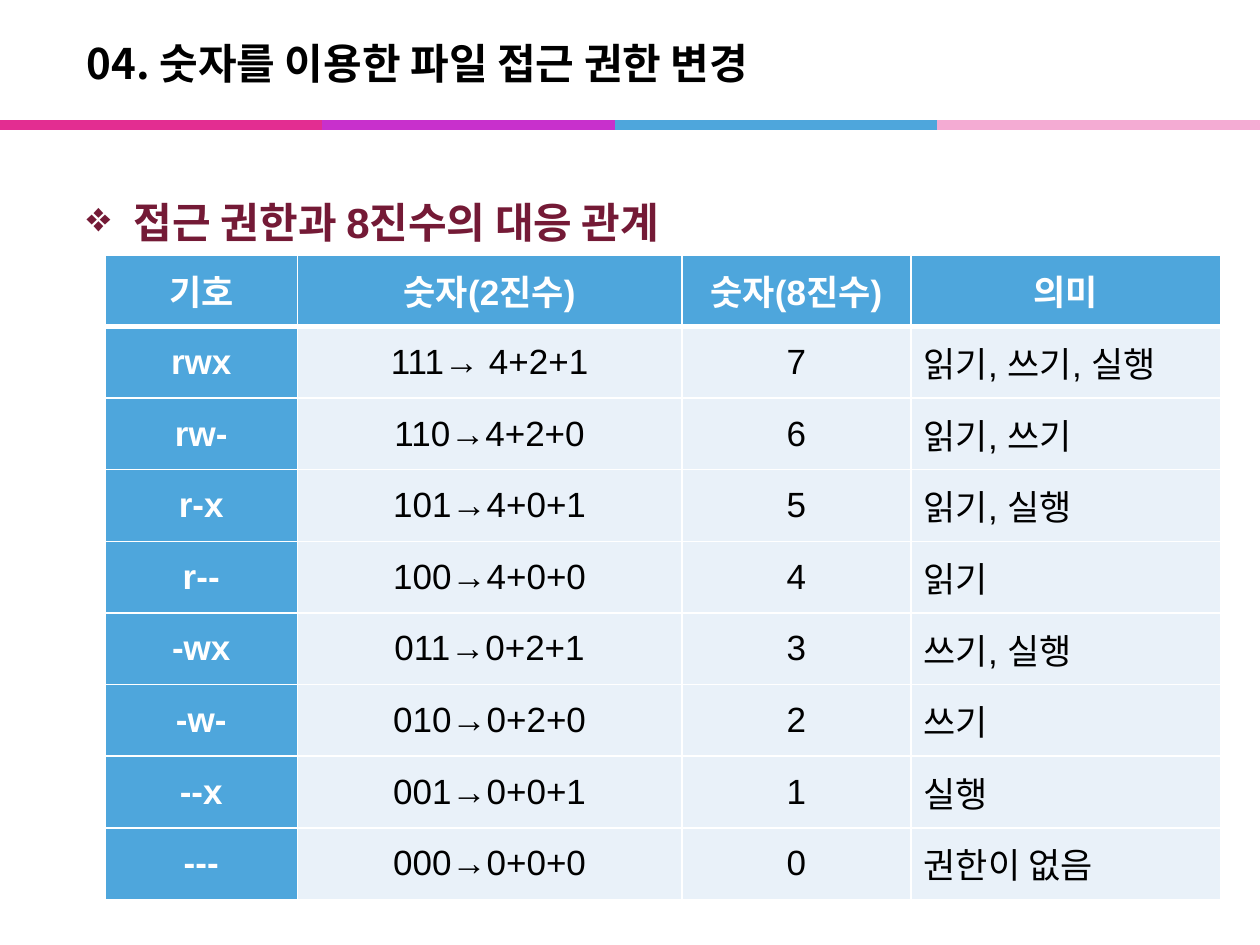
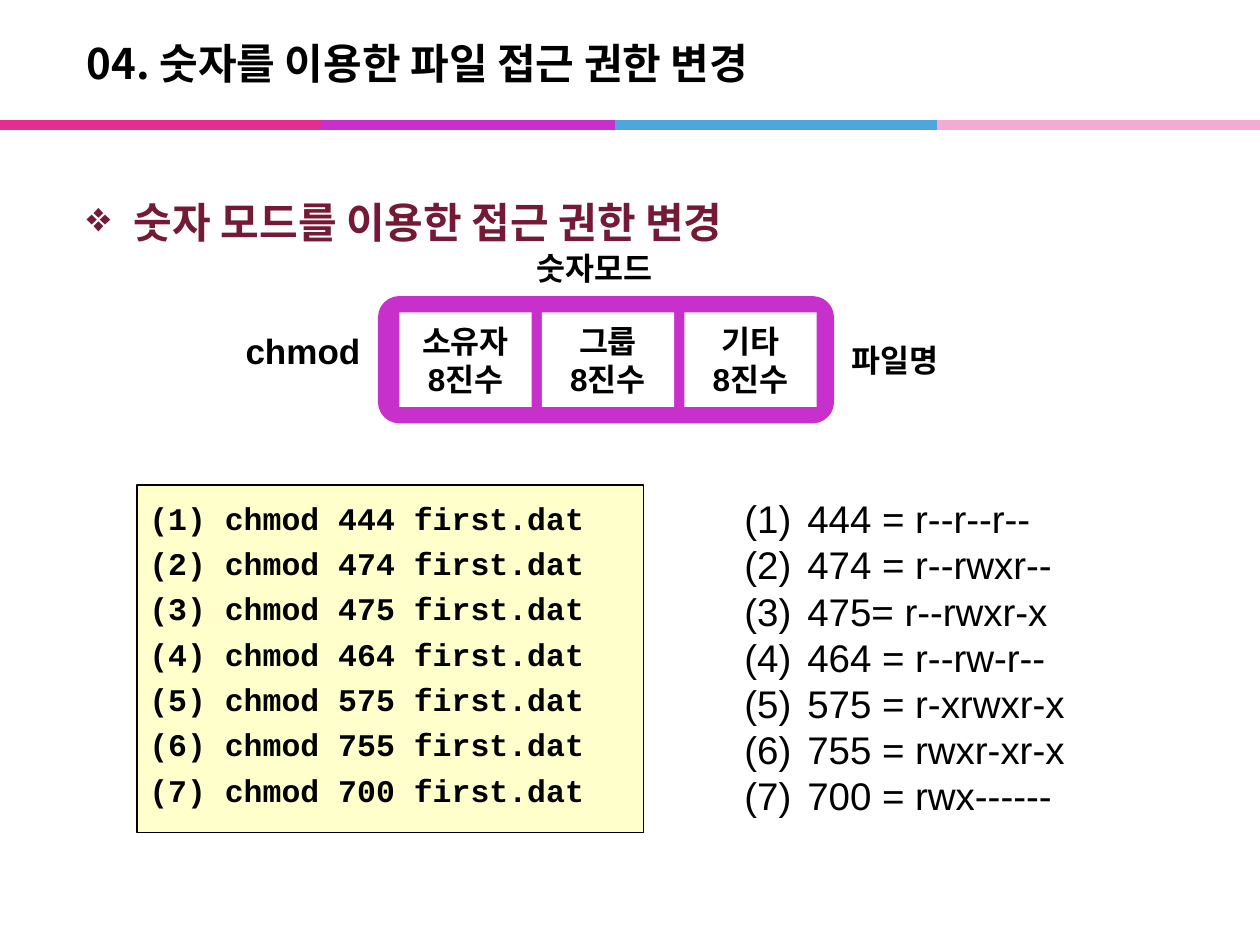
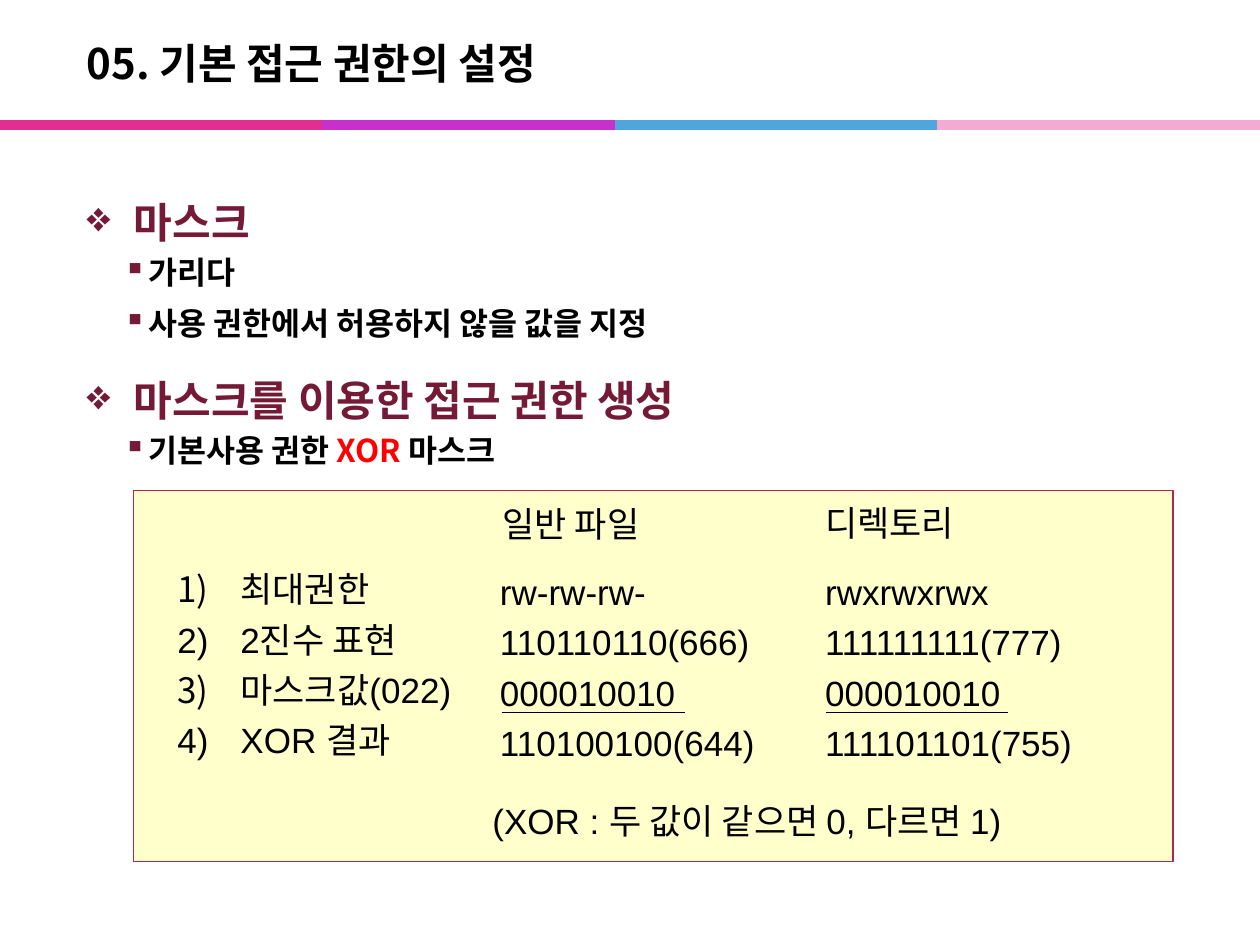
from dataclasses import dataclass, field

from lxml.etree import SubElement
from pptx import Presentation
from pptx.dml.color import RGBColor
from pptx.enum.shapes import MSO_CONNECTOR, MSO_SHAPE as SHAPE
from pptx.enum.text import MSO_ANCHOR as ANCHOR, MSO_AUTO_SIZE as AUTO, PP_ALIGN as ALIGN
from pptx.oxml.ns import qn
from pptx.util import Pt

COLORS = {
    "text": "000000", "white": "FFFFFF", "heading": "741A36", "red": "FF0000",
    "pink": "E32D91", "purple": "C830CC", "blue": "4EA6DC", "rose": "F4ABD3",
    "cell": "E9F1F9", "note": "FFFFCC", "frame": "AD2851",
}
KOREAN = "Noto Sans CJK KR"


def rgb(name):
    return RGBColor.from_string(COLORS[name])


@dataclass
class Style:
    size: float
    bold: bool = False
    font: str = "Arial"
    color: str = "text"
    para: dict = field(default_factory=dict)
    hang: float = 0
    margin: float = 0
    bullet: dict = field(default_factory=dict)
    bullet_color: str = ""


CENTER = {"alignment": ALIGN.CENTER}
LOOSE = {"line_spacing": 1.2}
STYLES = {
    "title": Style(24, True, KOREAN),
    "heading": Style(24, True, color="heading", para={"line_spacing": 1.5}, margin=27,
                     hang=27, bullet={"char": "❖"}, bullet_color="heading"),
    "item": Style(18, True, KOREAN, para={"space_before": Pt(3.6), "space_after": Pt(4)},
                  margin=35.3, hang=14.4, bullet={"char": "▪"}, bullet_color="heading"),
    "label": Style(18, True),
    "command": Style(20, True),
    "digit box": Style(18, True, para=CENTER),
    "code": Style(18, True, "Courier New", para=LOOSE, margin=27, hang=27,
                  bullet={"type": "arabicParenBoth"}),
    "answer": Style(22, margin=36, hang=36, bullet={"type": "arabicParenBoth"}),
    "plain": Style(20),
    "loose": Style(20, para=LOOSE),
    "step": Style(20, para=LOOSE, margin=36, hang=36, bullet={"type": "arabicParenR"}),
    "head cell": Style(20, True, color="white", para=CENTER),
    "center cell": Style(20, para=CENTER),
}


class Deck:
    def __init__(self):
        self.prs = Presentation()
        self.prs.slide_width, self.prs.slide_height = Pt(720), Pt(540)
        self.s = None

    def slide(self, title, body):
        """Start a slide with its band, title and (style, text) body lines."""
        self.s = self.prs.slides.add_slide(self.prs.slide_layouts[6])
        for x, color in ((167, "purple"), (351.4, "blue"), (535.7, "rose"), (0, "pink")):
            self.line(x, 71.3, 184.3, color, 6)
        self.box((42.5, 14.4, 595.4, 43.2), "title", [title], anchor=ANCHOR.MIDDLE, wrap=True)
        sp = self.box((42.5, 94.3, 652.3, 425.5), wrap=True)
        self.fill_text(sp.text_frame, body)

    def line(self, x, y, width, color="text", weight=0.75):
        c = self.s.shapes.add_connector(MSO_CONNECTOR.STRAIGHT, Pt(x), Pt(y), Pt(x + width), Pt(y))
        c.line.color.rgb, c.line.width = rgb(color), Pt(weight)
        SubElement(c._element.spPr, qn("a:effectLst"))

    def box(self, at, style="plain", lines=(), fill=None, line=None, kind=SHAPE.RECTANGLE,
            anchor=ANCHOR.TOP, wrap=False, grow=False):
        at = [Pt(v) for v in at]
        if fill:
            sp = self.s.shapes.add_shape(kind, *at)
            sp.fill.solid()
            sp.fill.fore_color.rgb = rgb(fill)
        else:
            sp = self.s.shapes.add_textbox(*at)
        sp.shadow.inherit = False
        if line:
            sp.line.color.rgb, sp.line.width = rgb(line), Pt(0.75)
        else:
            sp.line.fill.background()
        tf = sp.text_frame
        formats = {"word_wrap": wrap, "vertical_anchor": anchor,
                   "auto_size": AUTO.SHAPE_TO_FIT_TEXT if grow else AUTO.NONE}
        for name, value in formats.items():
            setattr(tf, name, value)
        self.fill_text(tf, [(style, text) for text in lines])
        return sp

    def fill_text(self, tf, lines):
        """Fill a text frame; a text is a string or a list of (text, color) runs."""
        for i, (name, text) in enumerate(lines):
            style = STYLES[name]
            p = tf.add_paragraph() if i else tf.paragraphs[0]
            for key, value in {"alignment": ALIGN.LEFT, **style.para}.items():
                setattr(p, key, value)
            if style.bullet:
                self.bullet(p, style)
            for part, color in [(text, style.color)] if isinstance(text, str) else text:
                r = p.add_run()
                r.text = part
                formats = {"size": Pt(style.size), "bold": style.bold, "name": style.font}
                for key, value in formats.items():
                    setattr(r.font, key, value)
                r.font.color.rgb = rgb(color)
                SubElement(r._r.get_or_add_rPr(), qn("a:ea"), typeface=KOREAN)

    def bullet(self, p, style):
        pPr = p._p.get_or_add_pPr()
        pPr.set("marL", str(Pt(style.margin)))
        pPr.set("indent", str(-Pt(style.hang)))
        if style.bullet_color:
            SubElement(SubElement(pPr, qn("a:buClr")), qn("a:srgbClr"),
                       val=COLORS[style.bullet_color])
        tag = "a:buChar" if "char" in style.bullet else "a:buAutoNum"
        SubElement(pPr, qn(tag), **style.bullet)

    def table(self, x, y, widths, row_height, rows):
        shape = self.s.shapes.add_table(len(rows), len(widths), Pt(x), Pt(y),
                                        Pt(sum(widths)), Pt(row_height * len(rows)))
        table = shape.table
        for column, width in zip(table.columns, widths):
            column.width = Pt(width)
        for i, row in enumerate(rows):
            table.rows[i].height = Pt(row_height)
            for j, text in enumerate(row):
                head = i == 0 or j == 0
                style = "head cell" if head else "plain" if j == len(row) - 1 else "center cell"
                cell = table.cell(i, j)
                self.borders(cell, {"L": 1, "R": 1, "T": 1, "B": 3} if i == 0
                             else {"L": 1, "R": 1, "B": 1})
                cell.fill.solid()
                cell.fill.fore_color.rgb = rgb("blue" if head else "cell")
                cell.vertical_anchor = ANCHOR.MIDDLE
                self.fill_text(cell.text_frame, [(style, text)])

    def borders(self, cell, weights):
        tcPr = cell._tc.get_or_add_tcPr()
        for side, weight in weights.items():
            ln = SubElement(tcPr, qn(f"a:ln{side}"), w=str(Pt(weight)))
            SubElement(SubElement(ln, qn("a:solidFill")), qn("a:srgbClr"), val=COLORS["white"])


def permission_table(deck):
    deck.slide("04. 숫자를 이용한 파일 접근 권한 변경",
               [("heading", "접근 권한과 8진수의 대응 관계")])
    deck.table(60, 145.6, (110, 219.6, 131, 177), 40.96, [
        ("기호", "숫자(2진수)", "숫자(8진수)", "의미"),
        ("rwx", "111→ 4+2+1", "7", "읽기, 쓰기, 실행"),
        ("rw-", "110→4+2+0", "6", "읽기, 쓰기"),
        ("r-x", "101→4+0+1", "5", "읽기, 실행"),
        ("r--", "100→4+0+0", "4", "읽기"),
        ("-wx", "011→0+2+1", "3", "쓰기, 실행"),
        ("-w-", "010→0+2+0", "2", "쓰기"),
        ("--x", "001→0+0+1", "1", "실행"),
        ("---", "000→0+0+0", "0", "권한이 없음"),
    ])


def number_mode(deck):
    deck.slide("04. 숫자를 이용한 파일 접근 권한 변경",
               [("heading", "숫자 모드를 이용한 접근 권한 변경")])
    deck.box((216, 169.2, 260.6, 72.7), fill="purple", kind=SHAPE.ROUNDED_RECTANGLE)
    for i, who in enumerate(("소유자", "그룹", "기타")):
        deck.box((228.2 + 81.4 * i, 178.5, 75.6, 54), "digit box", [who, "8진수"],
                 fill="white", anchor=ANCHOR.MIDDLE)
    deck.box((133.2, 185, 80.6, 31.7), "command", ["chmod"], grow=True)
    deck.box((479.5, 191.5, 69.1, 28.8), "label", ["파일명"], grow=True)
    deck.box((299.5, 139, 87.1, 28.8), "label", ["숫자모드"], grow=True)

    modes = (444, 474, 475, 464, 575, 755, 700)
    deck.box((78.2, 277.2, 289.4, 198.7), "code", [f" chmod {m} first.dat" for m in modes],
             fill="note", line="text")
    deck.box((418.3, 279.4, 228.2, 193.7), "answer",
             ["444 = r--r--r--", "474 = r--rwxr--", "475= r--rwxr-x", "464 = r--rw-r--",
              "575 = r-xrwxr-x", "755 = rwxr-xr-x", "700 = rwx------"], wrap=True, grow=True)


def mask(deck):
    deck.slide("05. 기본 접근 권한의 설정", [
        ("heading", "마스크"),
        ("item", "가리다"),
        ("item", "사용 권한에서 허용하지 않을 값을 지정"),
        ("heading", "마스크를 이용한 접근 권한 생성"),
        ("item", [("기본사용 권한 ", "text"), ("XOR ", "red"), ("마스크", "text")]),
    ])
    deck.box((76.3, 280.1, 594, 212.4), fill="note", line="frame")
    for at, style, lines in (
        ((278.6, 317.5, 159.8, 123.8), "loose",
         ["rw-rw-rw-", "110110110(666)", "000010010", "110100100(644)"]),
        ((94.3, 316.1, 177.1, 123.8), "step",
         ["최대권한", "2진수 표현", "마스크값(022)", "XOR 결과"]),
        ((274.3, 453.6, 336.2, 31.7), "plain", ["(XOR : 두 값이 같으면 0, 다르면 1)"]),
        ((464.4, 317.5, 159.8, 123.8), "loose",
         ["rwxrwxrwx", "111111111(777)", "000010010", "111101101(755)"]),
        ((280.1, 283.7, 102.2, 31.7), "plain", ["일반 파일"]),
        ((464.4, 283, 95, 31.7), "plain", ["디렉토리"]),
    ):
        deck.box(at, style, lines, fill="note", grow=True)
    for x, width in ((286.6, 105.1), (472.3, 103.7)):
        deck.line(x, 407, width)


def main():
    deck = Deck()
    for build in (permission_table, number_mode, mask):
        build(deck)
    deck.prs.save("out.pptx")


if __name__ == "__main__":
    main()
